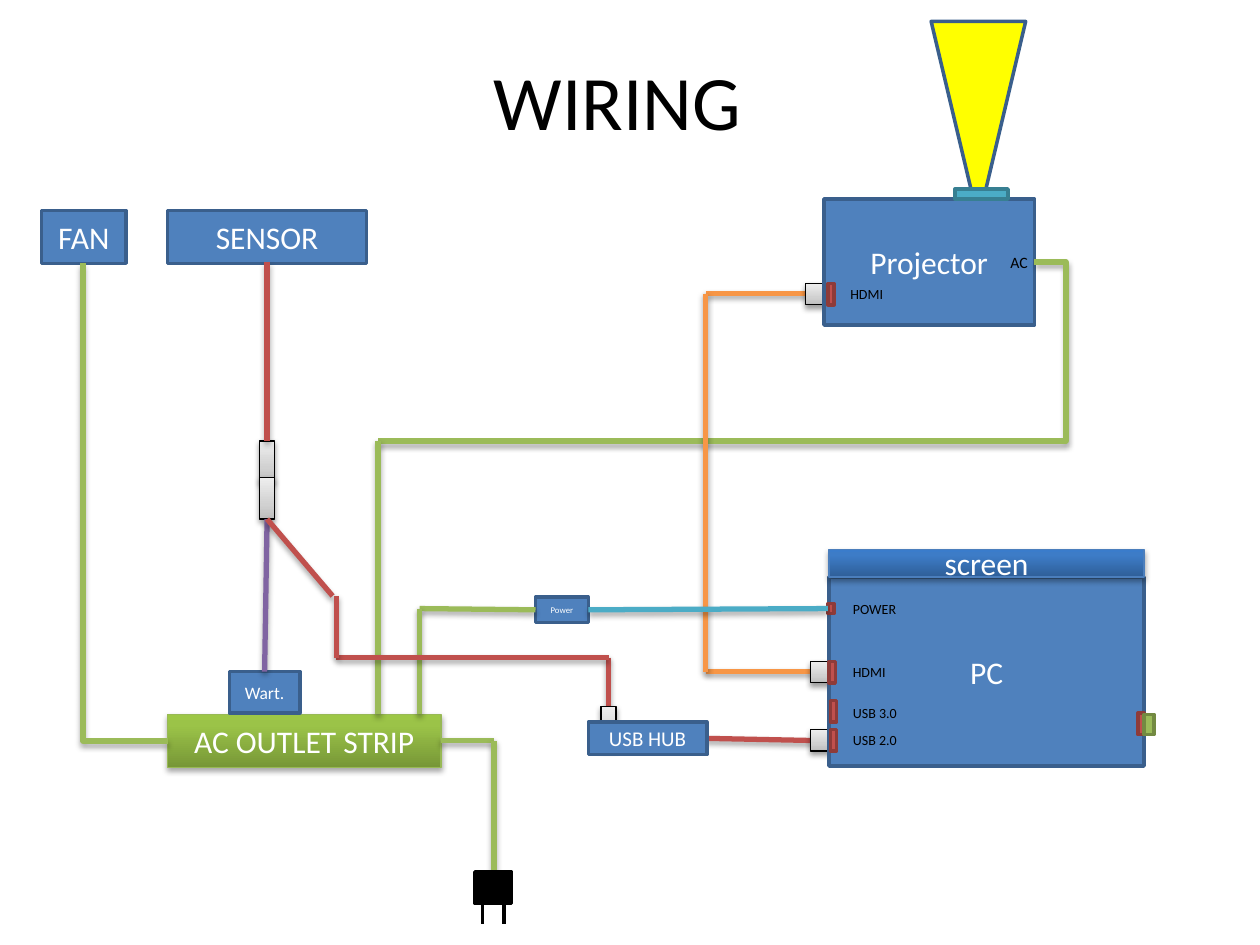
from dataclasses import dataclass
from itertools import pairwise

from lxml import etree
from pptx import Presentation
from pptx.dml.color import RGBColor
from pptx.enum.shapes import MSO_CONNECTOR, MSO_SHAPE
from pptx.enum.text import MSO_ANCHOR, MSO_AUTO_SIZE, PP_ALIGN
from pptx.oxml.ns import nsdecls, qn
from pptx.util import Cm, Pt

RECT, CONE = MSO_SHAPE.RECTANGLE, MSO_SHAPE.ISOSCELES_TRIANGLE
LINE, ELBOW = MSO_CONNECTOR.STRAIGHT, MSO_CONNECTOR.ELBOW
LEFT, CENTER = PP_ALIGN.LEFT, PP_ALIGN.CENTER
TOP, MIDDLE = MSO_ANCHOR.TOP, MSO_ANCHOR.MIDDLE
FIT = MSO_AUTO_SIZE.SHAPE_TO_FIT_TEXT
FONT = "Calibri"

COLORS = {
    "black": "000000", "white": "FFFFFF", "yellow": "FFFF00",
    "blue": "4F81BD", "navy": "3A5F8C", "red": "C0504D", "maroon": "8E3B39",
    "green": "9BBB59", "olive": "738A42", "teal": "4BACC6", "sea": "377F92",
    "orange": "F79646", "purple": "8064A2", "lime": "98B955", "sky": "4B7EBC",
}
BLENDS = {
    "metal": [(0, "BDBDBD"), (35, "D1D1D1"), (100, "EEEEEE")],
    "strip": [(0, "779737"), (80, "9BC348"), (100, "9DC746")],
    "screen": [(0, "2F5F99"), (80, "3D7CC7"), (100, "3A7CCB")],
}


@dataclass
class Style:
    """Fill, edge and shadow of a box."""
    fill: str
    edge: str
    width: float = 2
    shade: int = 0


STYLES = {
    "unit": Style("blue", "navy"),
    "port": Style("red", "maroon"),
    "jack": Style("green", "olive"),
    "lens": Style("teal", "sea"),
    "beam": Style("yellow", "navy"),
    "mains": Style("black", "black"),
    "metal": Style("metal", "black", 0.75, 38),
    "strip": Style("strip", "lime", 0.75, 35),
    "screen": Style("screen", "sky", 0.75, 35),
}


@dataclass
class Box:
    """A filled shape; place is left, top, width, height in inches."""
    style: str
    place: tuple[float, float, float, float]
    text: str = ""
    size: float = 18
    form: int = RECT
    turn: float = 0


@dataclass
class Label:
    """A small caption."""
    text: str
    place: tuple[float, float, float, float]
    size: float = 8


@dataclass
class Wire:
    """A cable through a row of points."""
    color: str
    points: list[tuple[float, float]]
    width: float = 3
    shade: int = 35


@dataclass
class Bend:
    """An elbow cable with its preset, rotation and bend offset."""
    start: tuple[float, float]
    end: tuple[float, float]
    preset: str
    turn: int = 0
    shift: int | None = None


def cm(inches: float) -> Cm:
    """Turn slide inches into a length."""
    return Cm(inches * 2.54)


def rgb(name: str) -> RGBColor:
    """Look up a colour."""
    return RGBColor.from_string(COLORS[name])


def cast(item, shade: int) -> None:
    """Give a soft drop shadow, or none when shade is zero."""
    drop = (f'<a:outerShdw blurRad="40000" dist="23000" dir="5400000" rotWithShape="0">'
            f'<a:srgbClr val="000000"><a:alpha val="{shade * 1000}"/></a:srgbClr>'
            f'</a:outerShdw>') if shade else ""
    item._element.spPr.append(etree.fromstring(
        f'<a:effectLst {nsdecls("a")}>{drop}</a:effectLst>'))


def blend(shape, stops: list[tuple[int, str]]) -> None:
    """Fill a shape with an upward gradient."""
    marks = "".join(f'<a:gs pos="{pos * 1000}"><a:srgbClr val="{tone}"/></a:gs>'
                    for pos, tone in stops)
    shape._element.spPr.find(qn("a:prstGeom")).addnext(etree.fromstring(
        f'<a:gradFill {nsdecls("a")} rotWithShape="1"><a:gsLst>{marks}</a:gsLst>'
        f'<a:lin ang="16200000" scaled="0"/></a:gradFill>'))


def write(shape, text: str, *, size: float, color: str = "white",
          align: int = CENTER, anchor: int = MIDDLE, wrap: bool = True) -> None:
    """Set and format the text of a shape."""
    frame = shape.text_frame
    frame.word_wrap, frame.vertical_anchor = wrap, anchor
    line = frame.paragraphs[0]
    line.alignment = align
    run = line.add_run()
    run.text = text
    run.font.name, run.font.size = FONT, Pt(size)
    run.font.color.rgb = rgb(color)


def draw_box(shapes, box: Box) -> None:
    """Draw a device, plug or port."""
    style = STYLES[box.style]
    shape = shapes.add_shape(box.form, *map(cm, box.place))
    shape.rotation = box.turn
    if style.fill in BLENDS:
        blend(shape, BLENDS[style.fill])
    else:
        shape.fill.solid()
        shape.fill.fore_color.rgb = rgb(style.fill)
    shape.line.color.rgb, shape.line.width = rgb(style.edge), Pt(style.width)
    cast(shape, style.shade)
    if box.text:
        write(shape, box.text, size=box.size)


def draw_label(shapes, label: Label) -> None:
    """Draw a caption."""
    area = shapes.add_textbox(*map(cm, label.place))
    write(area, label.text, size=label.size, color="black", align=LEFT,
          anchor=TOP, wrap=False)
    area.text_frame.auto_size = FIT


def join(shapes, kind: int, start, end, color: str, width: float, shade: int):
    """Draw one connector."""
    link = shapes.add_connector(kind, *map(cm, (*start, *end)))
    link.line.color.rgb, link.line.width = rgb(color), Pt(width)
    cast(link, shade)
    return link


def draw_wire(shapes, wire: Wire) -> None:
    """Draw every leg of a cable."""
    for start, end in pairwise(wire.points):
        join(shapes, LINE, start, end, wire.color, wire.width, wire.shade)


def draw_bend(shapes, bend: Bend) -> None:
    """Draw a green elbow cable."""
    link = join(shapes, ELBOW, bend.start, bend.end, "green", 3, 35)
    props = link._element.spPr
    props.find(qn("a:xfrm")).set("rot", str(bend.turn * 60000))
    geom = props.find(qn("a:prstGeom"))
    geom.set("prst", bend.preset)
    if bend.shift is not None:
        guide = etree.SubElement(geom.find(qn("a:avLst")), qn("a:gd"))
        guide.set("name", "adj1")
        guide.set("fmla", f"val {bend.shift}")


def plug(x: float, y: float) -> Box:
    """Make a flat metal plug."""
    return Box("metal", (x, y, 0.41, 0.17))


def tip(x: float, y: float) -> Box:
    """Make an upright metal plug."""
    return Box("metal", (x, y, 0.12, 0.33))


def port(x: float, y: float, high: float = 0.17) -> Box:
    """Make a red port."""
    return Box("port", (x, y, 0.05, high))


ITEMS = [
    Wire("orange", [(6.54, 2.33), (5.6, 2.33)]), plug(6.39, 2.25),
    Wire("orange", [(6.58, 5.33), (5.6, 5.33)]), plug(6.43, 5.25),
    Wire("red", [(4.83, 5.22), (4.83, 5.73)]), tip(4.77, 5.61),
    Wire("red", [(5.6, 5.86), (6.59, 5.88)]), plug(6.43, 5.79),
    Box("beam", (7.39, 0.17, 0.75, 1.58), form=CONE, turn=180),
    Box("unit", (1.33, 1.67, 1.58, 0.42), "SENSOR"),
    Box("unit", (6.54, 1.58, 1.67, 1), "Projector"),
    Box("unit", (0.33, 1.67, 0.67, 0.42), "FAN"),
    Box("strip", (1.33, 5.67, 2.17, 0.42), "AC OUTLET STRIP"),
    Bend((2.89, 3.65), (-0.9, 4.32), "bentConnector2", turn=270),
    Box("unit", (6.58, 4.58, 2.5, 1.5), "PC"),
    port(6.58, 5.25), port(6.59, 5.56), port(6.59, 5.79), port(9.03, 5.66),
    Label("USB 2.0", (6.67, 5.76, 0.55, 0.24)),
    Label("POWER", (6.67, 4.72, 0.55, 0.24)),
    Box("jack", (9.08, 5.67, 0.08, 0.16)),
    Label("HDMI", (6.67, 5.22, 0.46, 0.24)),
    Box("screen", (6.58, 4.36, 2.5, 0.22), "screen"), port(6.57, 4.79, 0.08),
    Label("USB 3.0", (6.67, 5.54, 0.55, 0.24)),
    Box("lens", (7.58, 1.5, 0.42, 0.08)),
    Bend((8.21, 2.08), (3, 3.5), "bentConnector3", shift=-4800),
    Wire("green", [(3, 3.5), (3, 5.67)]),
    Wire("orange", [(5.6, 2.33), (5.6, 5.33)]),
    Box("unit", (4.67, 5.73, 0.94, 0.26), "USB HUB", 12),
    tip(2.06, 3.5), tip(2.06, 3.79),
    Box("unit", (1.82, 5.33, 0.56, 0.33), "Wart.", 10),
    Wire("red", [(2.12, 2.08), (2.12, 3.5)]), port(6.57, 2.25),
    Label("HDMI", (6.65, 2.22, 0.46, 0.24)),
    Label("AC", (7.92, 1.96, 0.34, 0.25), 9),
    Box("unit", (4.25, 4.74, 0.42, 0.2), "Power", 5),
    Wire("teal", [(4.67, 4.84), (6.57, 4.83)]),
    Wire("green", [(4.25, 4.84), (3.33, 4.83), (3.33, 5.67)]),
    Wire("red", [(2.67, 5.22), (4.83, 5.22)]),
    Wire("purple", [(2.12, 4.12), (2.1, 5.33)]),
    Wire("red", [(2.12, 4.12), (2.64, 4.73)]),
    Wire("red", [(2.67, 4.73), (2.67, 5.22)]),
    Wire("green", [(3.5, 5.88), (3.92, 5.88), (3.92, 6.92)]),
    Box("mains", (3.77, 6.92, 0.29, 0.25)),
    *(Wire("black", [(x, 7.17), (x, 7.33)], 2, 0) for x in (3.83, 4)),
]
DRAW = {Box: draw_box, Label: draw_label, Wire: draw_wire, Bend: draw_bend}

deck = Presentation()
deck.slide_width, deck.slide_height = cm(10), cm(7.5)
shapes = deck.slides.add_slide(deck.slide_layouts[5]).shapes
title = shapes.title
title.left, title.top, title.width, title.height = map(cm, (0.4, 0.17, 9, 1.25))
write(title, "WIRING", size=44, color="black")
for item in ITEMS:
    DRAW[type(item)](shapes, item)
deck.save("out.pptx")
